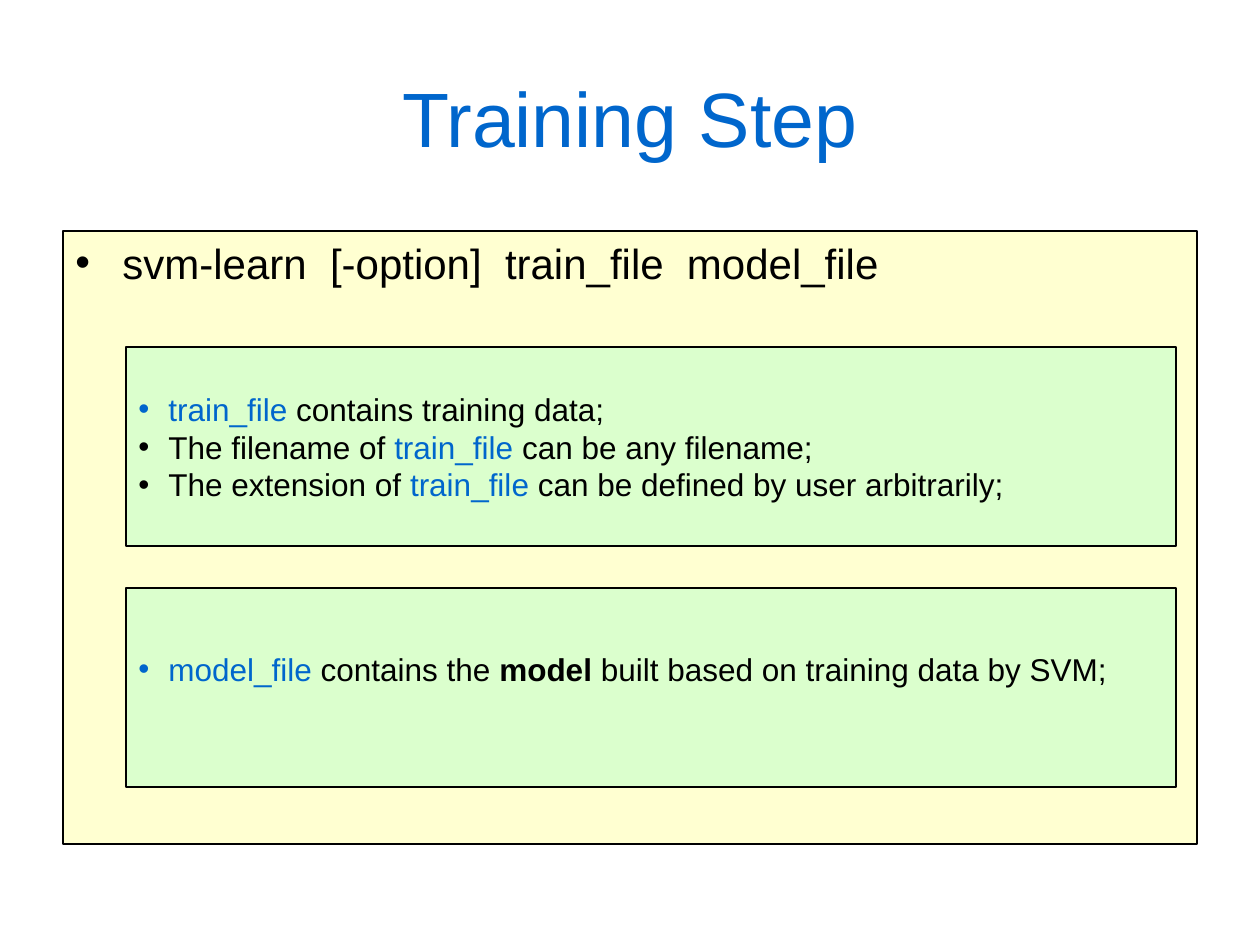
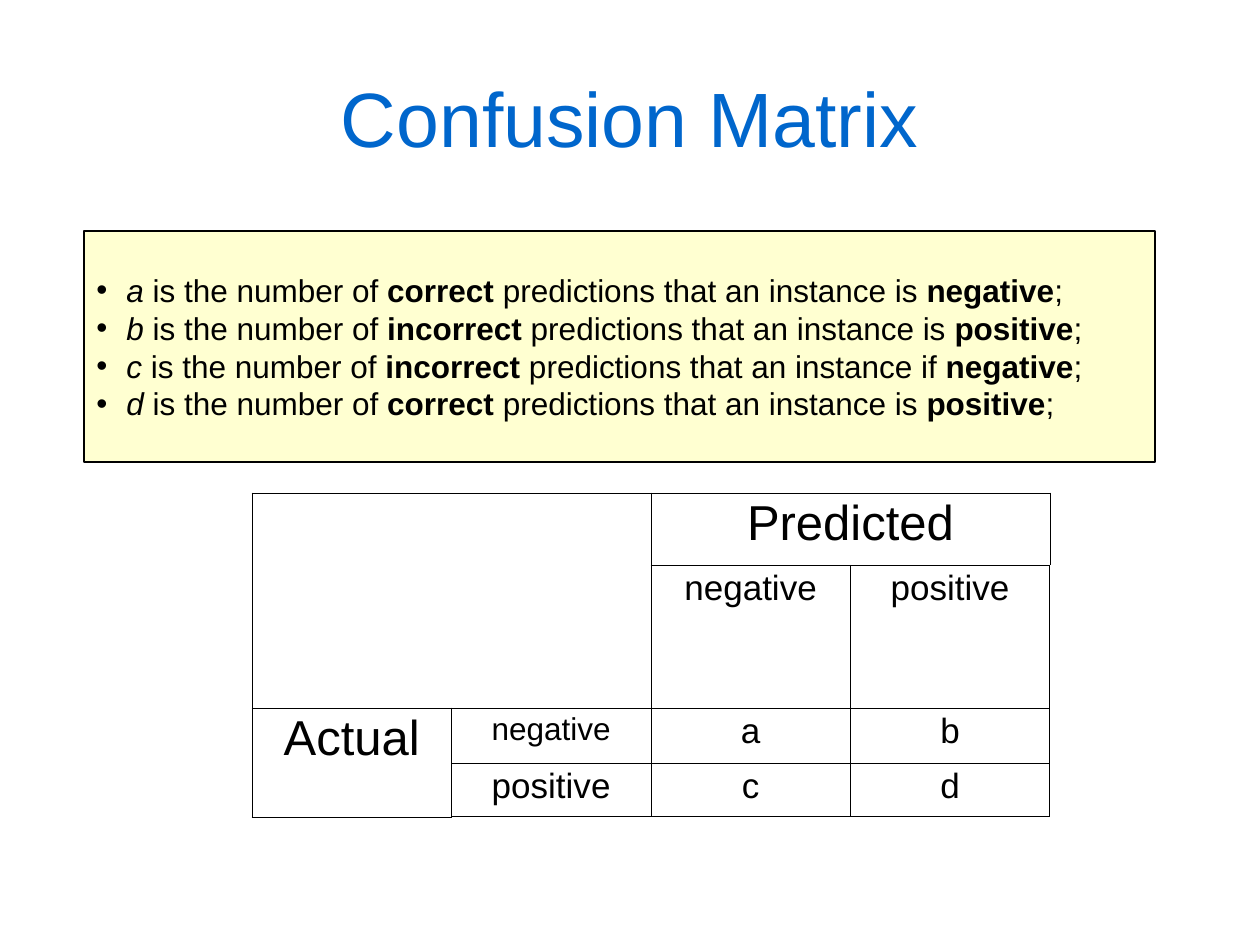
from lxml.etree import SubElement
from pptx import Presentation
from pptx.dml.color import RGBColor
from pptx.enum.shapes import MSO_SHAPE
from pptx.enum.text import MSO_ANCHOR, PP_ALIGN
from pptx.oxml.ns import qn
from pptx.util import Emu, Pt

SCALE = 914400 / 126
FONT = "Arial"
HUES = {"ink": "000000", "blue": "0066CC", "cream": "FFFFCC", "mint": "CCFFCC"}


def px(count):
    return Emu(round(count * SCALE))


def tint(name):
    return RGBColor.from_string(HUES[name])


def write(para, text, size=18, hue="ink", bold=False, slant=False):
    run = para.add_run()
    run.text = text
    font = run.font
    font.name, font.size = FONT, Pt(size)
    font.bold, font.italic = bold, slant
    font.color.rgb = tint(hue)


def bullet(para, gap, hue="ink"):
    props = para._p.get_or_add_pPr()
    props.set("marL", str(px(gap)))
    props.set("indent", str(-px(gap)))
    color = SubElement(props, qn("a:buClr"))
    SubElement(color, qn("a:srgbClr"), val=HUES[hue])
    SubElement(props, qn("a:buFont"), typeface=FONT)
    SubElement(props, qn("a:buChar"), char="•")


def title(slide, text):
    frame = slide.shapes.add_textbox(px(63), px(38), px(1134), px(158)).text_frame
    frame.word_wrap = True
    frame.vertical_anchor = MSO_ANCHOR.MIDDLE
    para = frame.paragraphs[0]
    para.alignment = PP_ALIGN.CENTER
    write(para, text, size=44, hue="blue")


def panel(slide, box, hue, alpha, anchor=MSO_ANCHOR.MIDDLE):
    shape = slide.shapes.add_shape(MSO_SHAPE.RECTANGLE, *map(px, box))
    shape.shadow.inherit = False
    shape.fill.solid()
    shape.fill.fore_color.rgb = tint(hue)
    color = shape._element.spPr.find(".//" + qn("a:srgbClr"))
    SubElement(color, qn("a:alpha"), val=str(alpha * 1000))
    shape.line.color.rgb = tint("ink")
    shape.line.width = Pt(0.75)
    frame = shape.text_frame
    frame.word_wrap = True
    frame.vertical_anchor = anchor
    return frame


def points(frame, items, size=18, gap=30):
    for order, runs in enumerate(items):
        para = frame.add_paragraph() if order else frame.paragraphs[0]
        para.alignment = PP_ALIGN.LEFT
        for text, style in runs:
            write(para, text, size=size, **style)
        bullet(para, gap, runs[0][1].get("hue", "ink"))


def border(cell, edges):
    props = cell._tc.get_or_add_tcPr()
    for spot, (side, outer) in enumerate(edges.items()):
        line = props.makeelement(qn("a:ln" + side), {"w": str(Pt(0.5 if outer else 0.23))})
        fill = SubElement(line, qn("a:solidFill"))
        SubElement(fill, qn("a:srgbClr"), val=HUES["ink"])
        props.insert(spot, line)


def matrix(slide, box, heights, spans, words):
    count = len(heights)
    table = slide.shapes.add_table(count, count, *map(px, box)).table
    table.first_row = table.horz_banding = False
    for row, height in zip(table.rows, heights):
        row.height = px(height)
    for start, end in spans:
        table.cell(*start).merge(table.cell(*end))
    last = count - 1
    for row in range(count):
        for col in range(count):
            cell = table.cell(row, col)
            cell.fill.background()
            border(cell, {"L": col == 0, "R": col == last, "T": row == 0, "B": row == last})
    for (row, col), (text, size) in words.items():
        para = table.cell(row, col).text_frame.paragraphs[0]
        para.alignment = PP_ALIGN.CENTER
        para.line_spacing = 0.94
        para.space_before = Pt(size / 4)
        write(para, text, size=size)


def training(slide):
    title(slide, "Training Step")
    body = panel(slide, (63, 231, 1134, 613), "cream", 90, MSO_ANCHOR.TOP)
    points(body, [[("svm-learn  [-option]  train_file  model_file", {})]], size=24, gap=47)
    body.paragraphs[0].space_before = Pt(6)

    train, model = [panel(slide, (126, top, 1050, 199), "mint", 70) for top in (347, 588)]
    blue = {"hue": "blue"}
    name = ("train_file", blue)
    points(train, [
        [name, (" contains training data;", {})],
        [("The filename of ", {}), name, (" can be any filename;", {})],
        [("The extension of ", {}), name, (" can be defined by user arbitrarily;", {})],
    ])
    model.margin_bottom = px(44)
    points(model, [[
        ("model_file", blue),
        (" contains the ", {}),
        ("model", {"bold": True}),
        (" built based on training data by SVM;", {}),
    ]])


def confusion(slide):
    title(slide, "Confusion Matrix")
    notes = panel(slide, (84, 231, 1071, 231), "cream", 90)
    facts = [
        ("a", "correct", "is", "negative"),
        ("b", "incorrect", "is", "positive"),
        ("c", "incorrect", "if", "negative"),
        ("d", "correct", "is", "positive"),
    ]
    points(notes, [[
        (key, {"slant": True}),
        (" is the number of ", {}),
        (kind, {"bold": True}),
        (f" predictions that an instance {verb} ", {}),
        (label, {"bold": True}),
        (";", {}),
    ] for key, kind, verb, label in facts])

    words = {
        (0, 2): ("Predicted", 28),
        (1, 2): ("negative", 20), (1, 3): ("positive", 20),
        (2, 0): ("Actual", 28),
        (2, 1): ("negative", 18), (2, 2): ("a", 20), (2, 3): ("b", 20),
        (3, 1): ("positive", 20), (3, 2): ("c", 20), (3, 3): ("d", 20),
    }
    spans = [((0, 0), (1, 1)), ((0, 2), (0, 3)), ((2, 0), (3, 0))]
    matrix(slide, (252, 493, 798, 324), (72, 143, 55, 54), spans, words)


def main():
    deck = Presentation()
    deck.slide_width, deck.slide_height = px(1260), px(945)
    for build in (training, confusion):
        build(deck.slides.add_slide(deck.slide_layouts[6]))
    deck.save("out.pptx")


if __name__ == "__main__":
    main()
